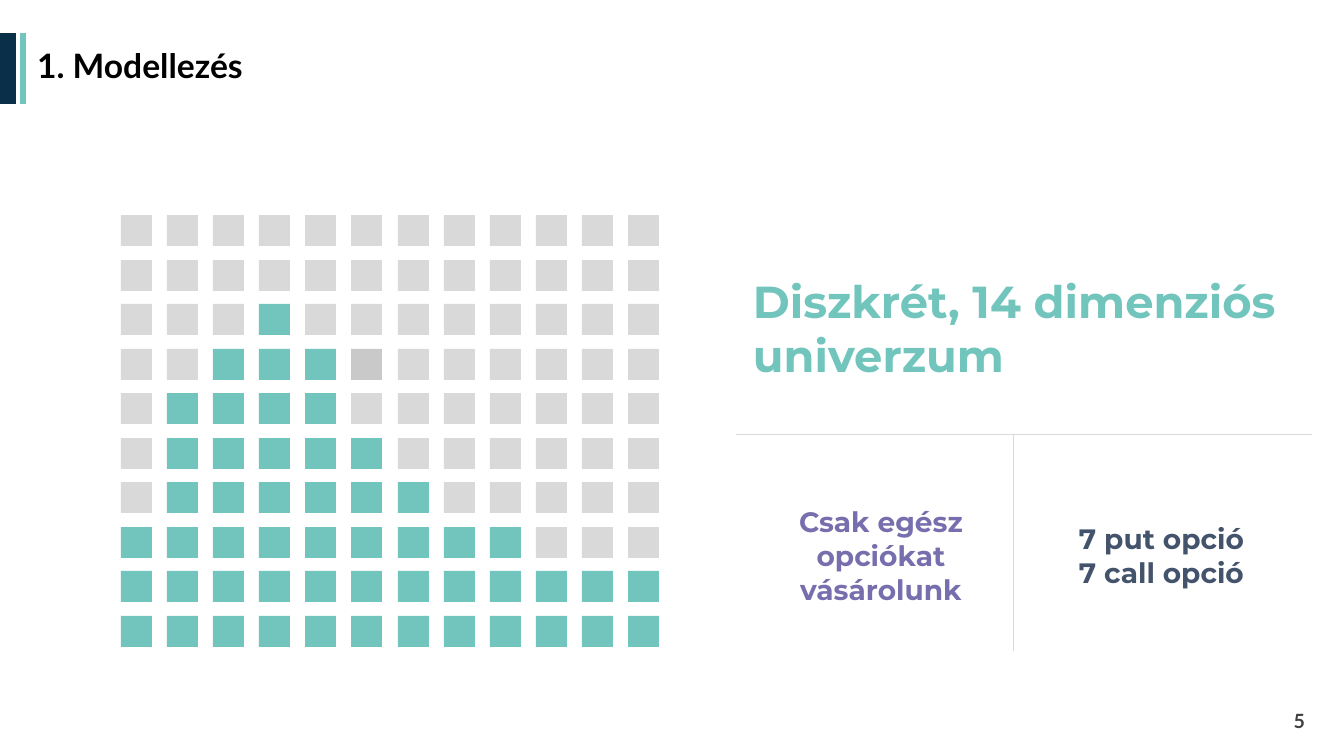
from lxml.etree import SubElement
from pptx import Presentation
from pptx.dml.color import RGBColor
from pptx.enum.shapes import MSO_CONNECTOR, MSO_SHAPE
from pptx.enum.text import MSO_ANCHOR, MSO_AUTO_SIZE, PP_ALIGN
from pptx.oxml.ns import qn
from pptx.util import Pt

PX = 914400 / 100.8

NAVY = RGBColor(0x09, 0x2F, 0x49)
TEAL = RGBColor(0x72, 0xC5, 0xBC)
PURPLE = RGBColor(0x77, 0x6E, 0xAE)
SLATE = RGBColor(0x44, 0x53, 0x6C)
BLACK = RGBColor(0x00, 0x00, 0x00)
DARK_GRAY = RGBColor(0x40, 0x40, 0x40)
LIGHT_GRAY = RGBColor(0xD9, 0xD9, 0xD9)
MID_GRAY = RGBColor(0xC9, 0xC9, 0xC9)


def px(*lengths):
    """Turn pixel lengths into EMU."""
    return [round(length * PX) for length in lengths]


def add_rectangle(left, top, width, height, color):
    shape = slide.shapes.add_shape(MSO_SHAPE.RECTANGLE, *px(left, top, width, height))
    shape.shadow.inherit = False
    shape.fill.solid()
    shape.fill.fore_color.rgb = color
    shape.line.fill.background()


presentation = Presentation()
presentation.slide_width, presentation.slide_height = px(1344, 756)
slide = presentation.slides.add_slide(presentation.slide_layouts[5])

# Header bars
add_rectangle(0, 33, 16, 71, NAVY)
add_rectangle(20, 33, 6, 71, TEAL)

# Histogram of squares: teal ones fill each column from the bottom
COLUMN_HEIGHTS = [3, 6, 7, 8, 7, 5, 4, 3, 3, 2, 2, 2]
ROWS = 10
DARKER_CELL = (3, 5)
GRID_LEFT, GRID_TOP, CELL = 121, 215, 31
LAST_COLUMN_OFFSET, LAST_ROW_OFFSET = 507, 401

for row in range(ROWS):
    for column, height in enumerate(COLUMN_HEIGHTS):
        if row >= ROWS - height:
            color = TEAL
        elif (row, column) == DARKER_CELL:
            color = MID_GRAY
        else:
            color = LIGHT_GRAY
        left = GRID_LEFT + round(column * LAST_COLUMN_OFFSET / (len(COLUMN_HEIGHTS) - 1))
        top = GRID_TOP + round(row * LAST_ROW_OFFSET / (ROWS - 1))
        add_rectangle(left, top, CELL, CELL, color)

# Dividing lines
for ends in [(736, 434, 1312, 434), (1013, 434, 1013, 651)]:
    connector = slide.shapes.add_connector(MSO_CONNECTOR.STRAIGHT, *px(*ends))
    connector.line.color.rgb = LIGHT_GRAY
    connector.line.width = Pt(0.5)
    SubElement(connector._element.spPr, qn("a:effectLst"))

# Texts
TEXTS = [
    ("1. Modellezés", (27, 32, 1287, 71), "Lato", 24, BLACK, PP_ALIGN.LEFT, MSO_ANCHOR.MIDDLE),
    ("Diszkrét, 14 dimenziós\nuniverzum", (743, 269, 569, 119),
     "Montserrat", 32, TEAL, PP_ALIGN.LEFT, MSO_ANCHOR.TOP),
    ("Csak egész opciókat vásárolunk", (749, 500, 264, 112),
     "Montserrat", 20, PURPLE, PP_ALIGN.CENTER, MSO_ANCHOR.TOP),
    ("7 put opció\n7 call opció", (1065, 517, 193, 78),
     "Montserrat", 20, SLATE, PP_ALIGN.CENTER, MSO_ANCHOR.TOP),
    ("5", (1013, 701, 302, 40), "Lato", 14, DARK_GRAY, PP_ALIGN.RIGHT, MSO_ANCHOR.MIDDLE),
]
title = slide.shapes.title
for text, box, font_name, size, color, alignment, anchor in TEXTS:
    shape = title if text == "1. Modellezés" else slide.shapes.add_textbox(*px(*box))
    shape.left, shape.top, shape.width, shape.height = px(*box)
    text_frame = shape.text_frame
    text_frame.text = text
    text_frame.word_wrap = True
    text_frame.auto_size = MSO_AUTO_SIZE.NONE
    text_frame.vertical_anchor = anchor
    for paragraph in text_frame.paragraphs:
        paragraph.alignment = alignment
        for run in paragraph.runs:
            run.font.name = font_name
            run.font.size = Pt(size)
            run.font.bold = True
            run.font.color.rgb = color
title.text_frame.paragraphs[0].line_spacing = 0.9

presentation.save("out.pptx")
